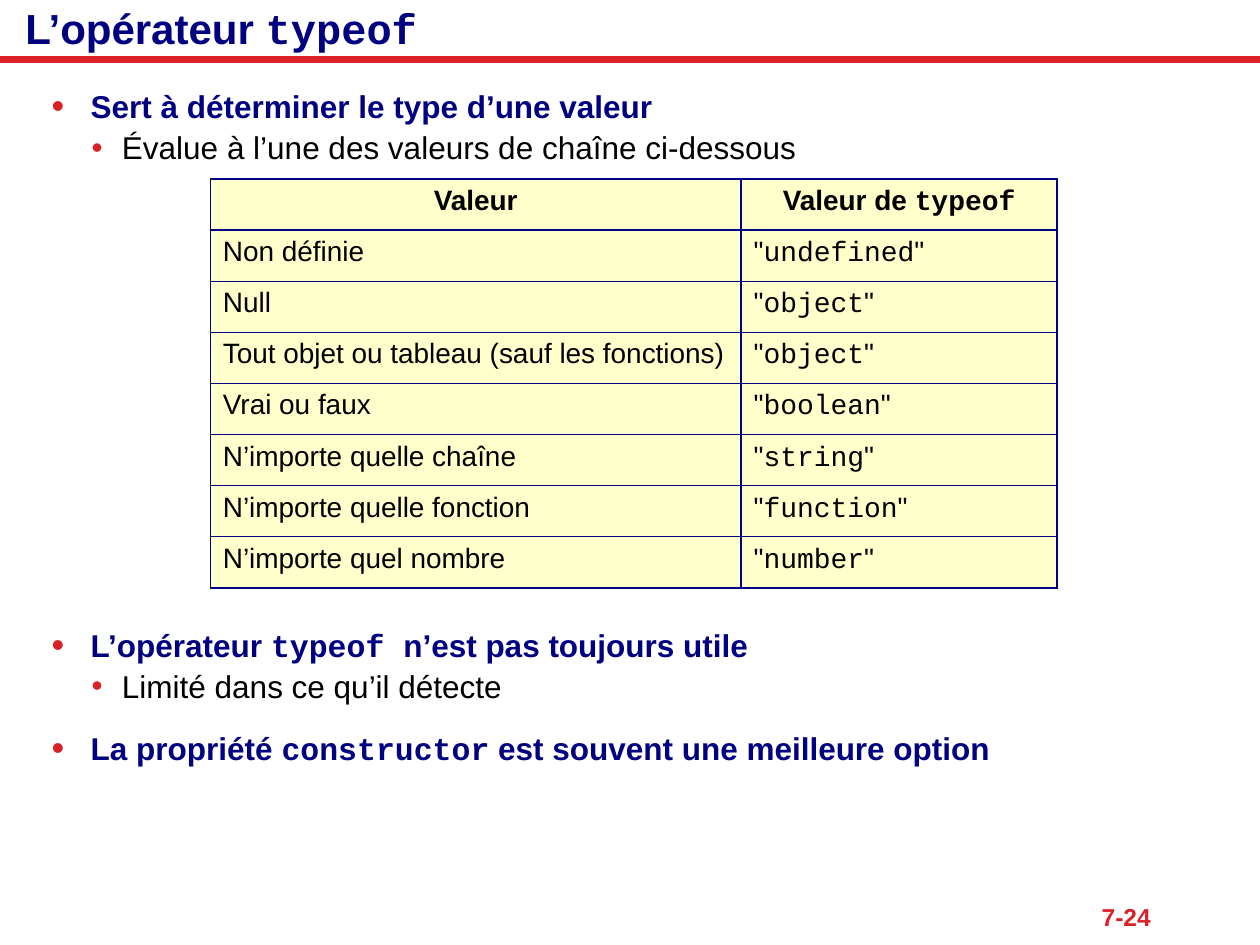
import pptx
import pptx.dml.color
import pptx.enum.shapes
import pptx.enum.text
import pptx.oxml.ns
import pptx.util
from lxml import etree
from pptx.util import Cm, Pt

NAVY, RED, BLACK, CREAM = "000080", "DA2128", "000000", "FFFFCC"
LEFT, CENTER, RIGHT = (pptx.enum.text.PP_ALIGN.LEFT, pptx.enum.text.PP_ALIGN.CENTER,
                       pptx.enum.text.PP_ALIGN.RIGHT)

# Backticks enclose code
TITLE = "L’opérateur `typeof`"
PAGE_NUMBER = "7-24"
# (top in cm, [(level, text)])
BULLET_GROUPS = [
    (1.63, [(0, "Sert à déterminer le type d’une valeur"),
            (1, "Évalue à l’une des valeurs de chaîne ci-dessous")]),
    (12.49, [(0, "L’opérateur `typeof `n’est pas toujours utile"),
             (1, "Limité dans ce qu’il détecte"),
             (0, "La propriété `constructor` est souvent une meilleure option")]),
]
HEADER = ("Valeur", "Valeur de `typeof`")
TYPES = [
    ("Non définie", "undefined"),
    ("Null", "object"),
    ("Tout objet ou tableau (sauf les fonctions)", "object"),
    ("Vrai ou faux", "boolean"),
    ("N’importe quelle chaîne", "string"),
    ("N’importe quelle fonction", "function"),
    ("N’importe quel nombre", "number"),
]
COLUMN_WIDTHS = (10.7, 6.37)
ROW_HEIGHT = 1.03
# Per level: indent and hanging in cm, space before, bullet size, colour, bold
LEVELS = [(0.79, 0.79, 14, 115, NAVY, True), (1.42, 0.61, 2, 100, BLACK, False)]


def rgb(value):
    return pptx.dml.color.RGBColor.from_string(value)


def add_xml(parent, tag, **attributes):
    child = etree.SubElement(parent, pptx.oxml.ns.qn(tag))
    for name, value in attributes.items():
        child.set(name, str(value))
    return child


def write(para, text, size, color, bold, align=LEFT):
    """Fill a paragraph, setting the parts between backticks in Courier New."""
    para.alignment = align
    font = para.font
    font.name, font.size, font.bold = "Arial", Pt(size), bold
    font.color.rgb = rgb(color)
    for index, part in enumerate(text.split("`")):
        if part:
            span = para.add_run()
            span.text = part
            if index % 2:
                span.font.name = "Courier New"


def add_bullet(para, level, text, first):
    indent, hanging, space, bullet_size, color, bold = LEVELS[level]
    para.level = level
    para.space_before = Pt(0 if first else space)
    properties = para._p.get_or_add_pPr()
    properties.set("marL", str(Cm(indent)))
    properties.set("indent", str(-Cm(hanging)))
    add_xml(add_xml(properties, "a:buClr"), "a:srgbClr", val=RED)
    add_xml(properties, "a:buSzPct", val=bullet_size * 1000)
    add_xml(properties, "a:buFont", typeface="Arial")
    add_xml(properties, "a:buChar", char="•")
    write(para, text, 18, color, bold)


def add_bullets(page, top, items):
    box = page.shapes.add_textbox(Cm(0.79), Cm(top), Cm(23.88), Cm(0.95 * len(items)))
    frame = box.text_frame
    frame.word_wrap = True
    for index, (level, text) in enumerate(items):
        para = frame.add_paragraph() if index else frame.paragraphs[0]
        add_bullet(para, level, text, first=index == 0)


def format_cell(cell):
    properties = cell._tc.get_or_add_tcPr()
    for side in ("a:lnL", "a:lnR", "a:lnT", "a:lnB"):
        line = add_xml(properties, side, w=Pt(1))
        add_xml(add_xml(line, "a:solidFill"), "a:srgbClr", val=NAVY)
    cell.fill.solid()
    cell.fill.fore_color.rgb = rgb(CREAM)


def add_type_table(page):
    rows = [HEADER] + [(value, f'"`{name}`"') for value, name in TYPES]
    table = page.shapes.add_table(
        len(rows), len(HEADER), Cm(4.24), Cm(3.61),
        Cm(sum(COLUMN_WIDTHS)), Cm(ROW_HEIGHT * len(rows))).table
    table.horz_banding = False
    for column, width in zip(table.columns, COLUMN_WIDTHS):
        column.width = Cm(width)
    for row_index, texts in enumerate(rows):
        table.rows[row_index].height = Cm(ROW_HEIGHT)
        is_header = row_index == 0
        for column_index, text in enumerate(texts):
            cell = table.cell(row_index, column_index)
            format_cell(cell)
            write(cell.text_frame.paragraphs[0], text, 16, BLACK, is_header,
                  CENTER if is_header else LEFT)


def add_title(page):
    title = page.shapes.title
    title.left, title.top, title.width, title.height = Cm(0), Cm(0), Cm(25.4), Cm(1.12)
    frame = title.text_frame
    frame.vertical_anchor = pptx.enum.text.MSO_ANCHOR.MIDDLE
    frame.margin_left, frame.margin_right = Cm(0.51), Cm(0.25)
    frame.margin_top = frame.margin_bottom = Cm(0)
    write(frame.paragraphs[0], TITLE, 24, NAVY, True)


def add_rule(page):
    rule = page.shapes.add_connector(
        pptx.enum.shapes.MSO_CONNECTOR.STRAIGHT, Cm(0), Cm(1.19), Cm(25.4), Cm(1.19))
    rule.line.color.rgb = rgb(RED)
    rule.line.width = Pt(4)
    add_xml(rule._element.spPr, "a:effectLst")


def add_page_number(page):
    box = page.shapes.add_textbox(Cm(19.94), Cm(18.06), Cm(3.51), Cm(0.86))
    frame = box.text_frame
    frame.word_wrap = True
    frame.vertical_anchor = pptx.enum.text.MSO_ANCHOR.MIDDLE
    write(frame.paragraphs[0], PAGE_NUMBER, 14, RED, True, RIGHT)


def main():
    deck = pptx.Presentation()
    deck.slide_width, deck.slide_height = Cm(25.4), Cm(19.05)
    page = deck.slides.add_slide(deck.slide_layouts[5])
    add_title(page)
    add_rule(page)
    for top, items in BULLET_GROUPS:
        add_bullets(page, top, items)
    add_type_table(page)
    add_page_number(page)
    deck.save("out.pptx")


if __name__ == "__main__":
    main()
